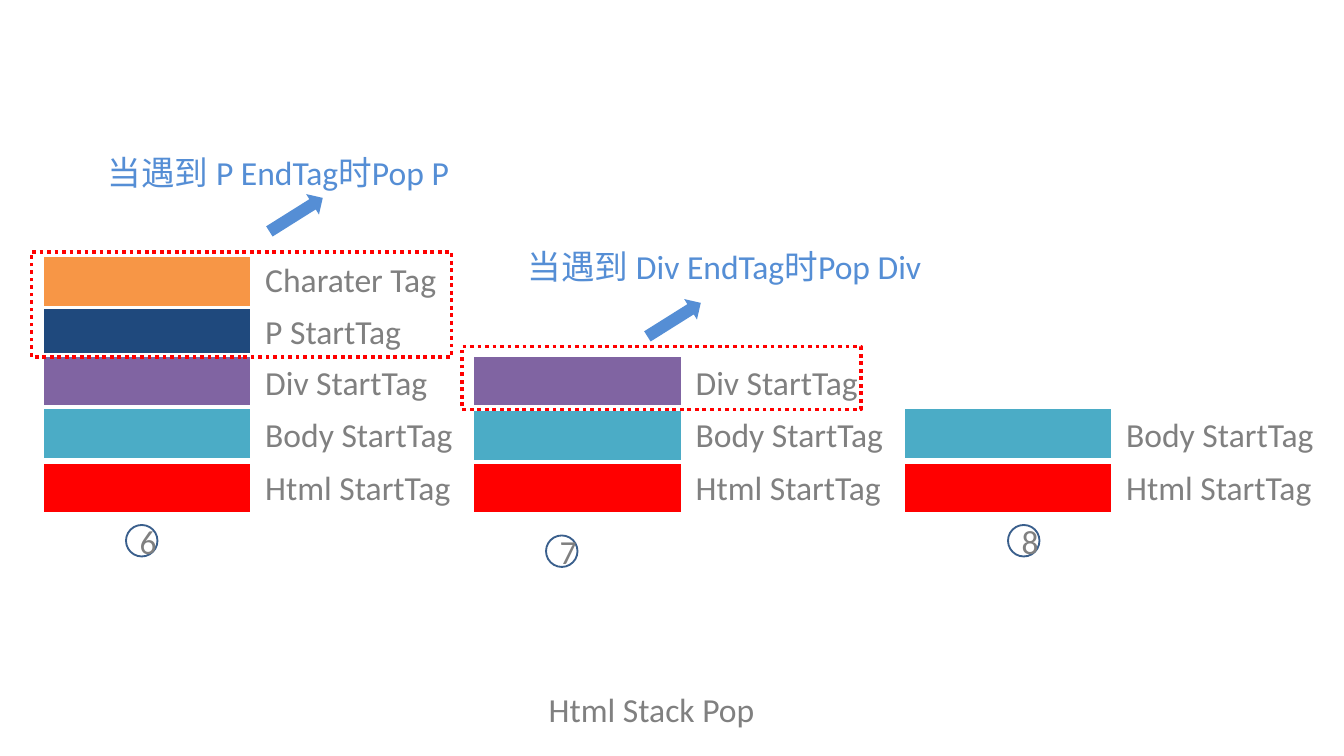
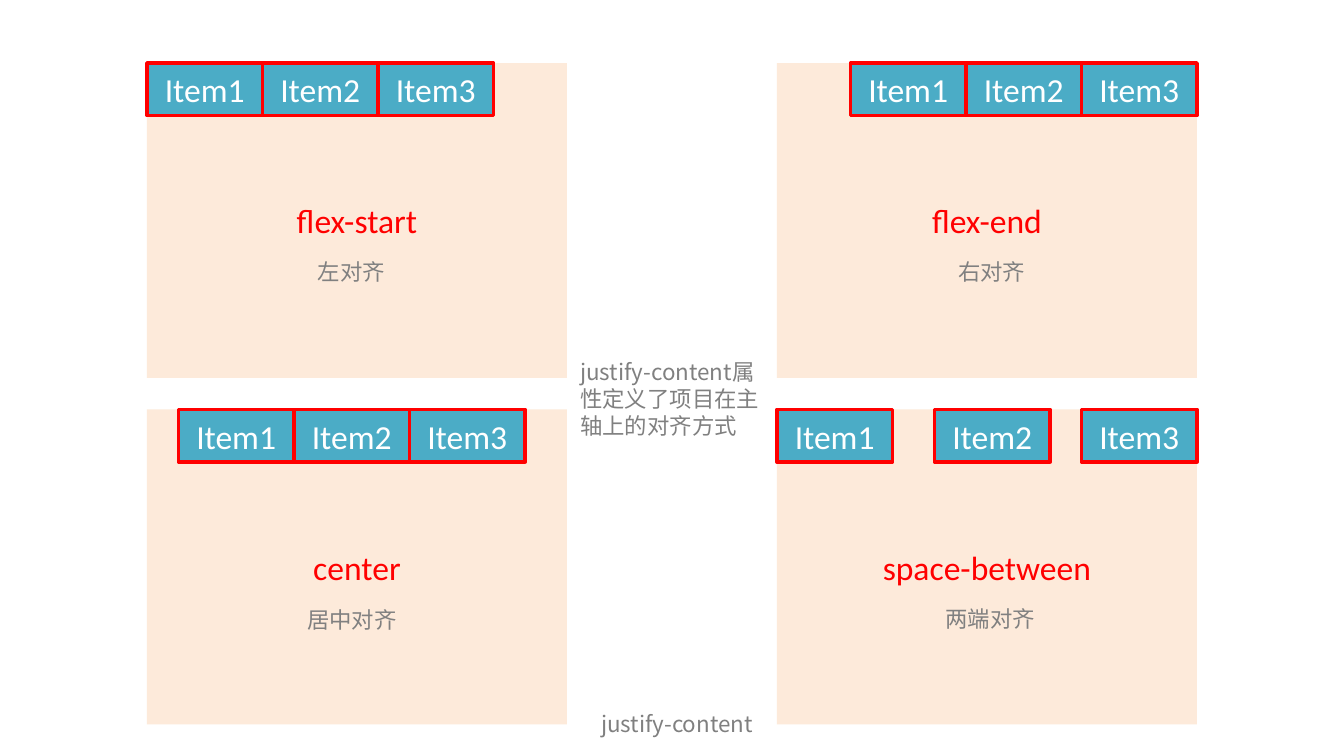
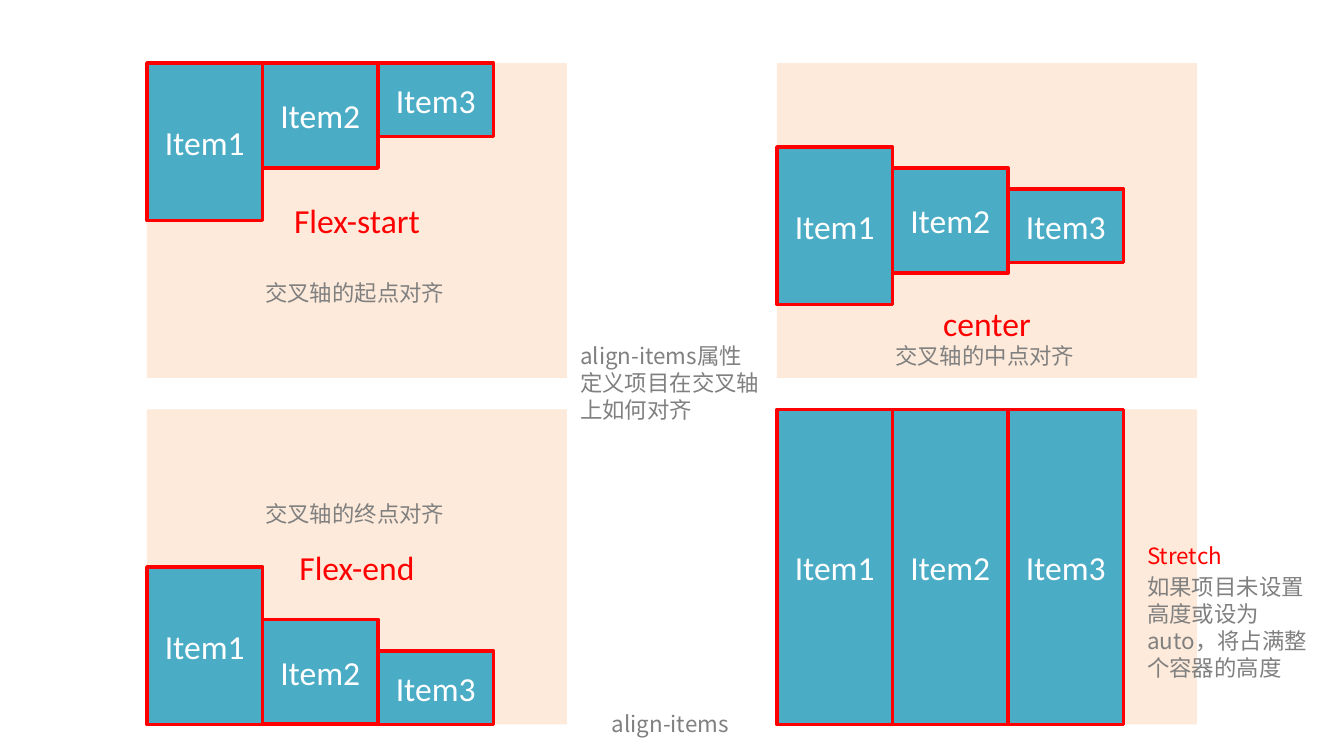
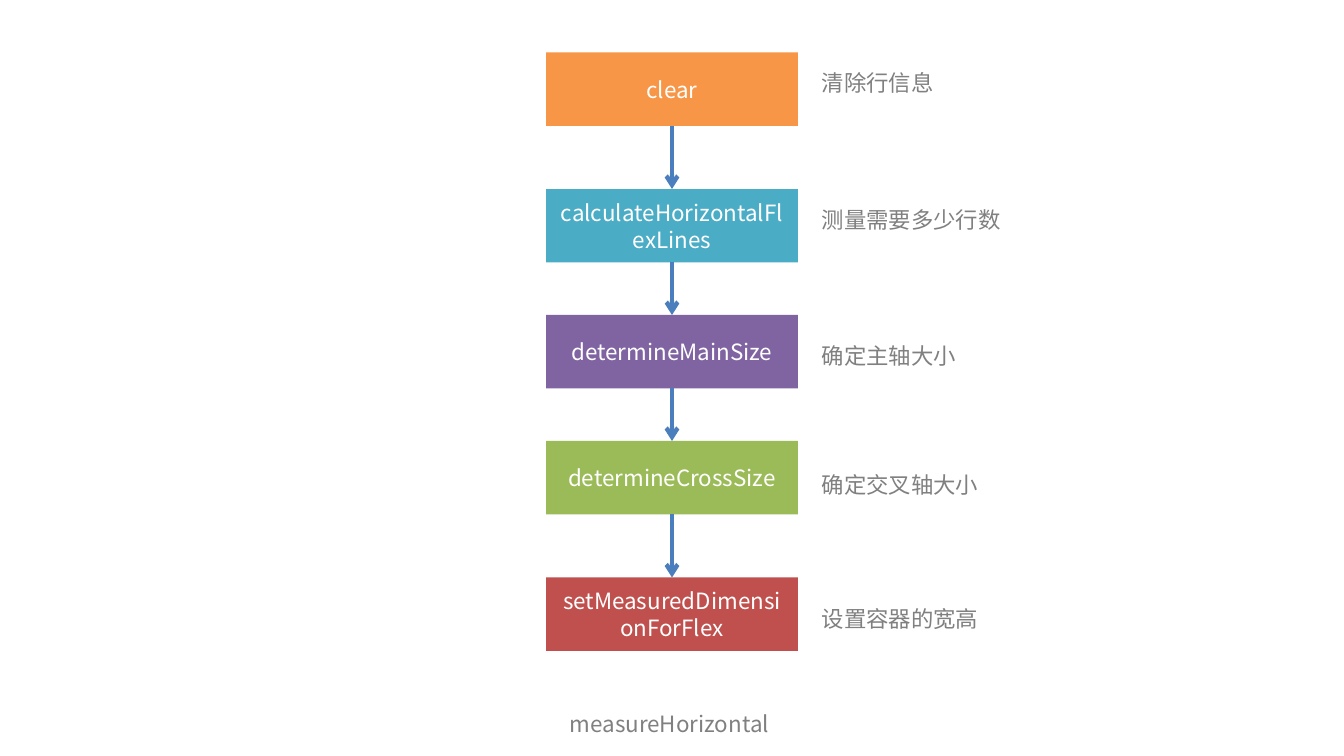
import lxml.etree
import pptx
import pptx.dml.color
import pptx.enum.dml
import pptx.enum.shapes
import pptx.enum.text
import pptx.oxml.ns
import pptx.util

SLIDE_WIDTH, SLIDE_HEIGHT = 1280, 720
EMU_PER_PX = 9144000 / SLIDE_WIDTH
LATIN, CJK = "Calibri", "Noto Sans CJK SC"
COLORS = {
    "white": "FFFFFF", "gray": "808080", "red": "FF0000", "teal": "4BACC6",
    "purple": "8064A2", "navy": "1F497D", "orange": "F79646",
    "green": "9BBB59", "brick": "C0504D", "peach": "FDEADA",
    "sky": "558ED5", "ring": "3A5F8C", "flow": "4B7EBC",
}
SHAPES = pptx.enum.shapes.MSO_SHAPE
ITEM_WIDTH = 110
PANEL_WIDTH, PANEL_HEIGHT = 400, 300
PANEL_LEFTS, PANEL_TOPS = (140, 740), (60, 390)
STEP_WIDTH, STEP_HEIGHT = 240, 70
CAPTION_TOP = 670


def px(length):
    return pptx.util.Emu(round(length * EMU_PER_PX))


def rgb(name):
    return pptx.dml.color.RGBColor.from_string(COLORS[name])


def write(frame, text, size, color, font):
    frame.word_wrap = True
    paragraph = frame.paragraphs[0]
    paragraph.text = text
    paragraph.font.size = pptx.util.Pt(size)
    paragraph.font.name = font
    paragraph.font.color.rgb = rgb(color)
    properties = paragraph._p.pPr.find(pptx.oxml.ns.qn("a:defRPr"))
    east_asian = lxml.etree.SubElement(properties, pptx.oxml.ns.qn("a:ea"))
    east_asian.set("typeface", CJK)
    return paragraph


def add_text(slide, text, left, top, width, height=38, size=12, color="gray",
             font=CJK, wrap=True):
    box = slide.shapes.add_textbox(px(left), px(top), px(width), px(height))
    write(box.text_frame, text, size, color, font)
    box.text_frame.word_wrap = wrap
    box.text_frame.auto_size = pptx.enum.text.MSO_AUTO_SIZE.SHAPE_TO_FIT_TEXT


def add_large_text(slide, text, left, top, width, color="gray"):
    add_text(slide, text, left, top, width, 52, 18, color, LATIN)


def add_box(slide, left, top, width, height, fill=None, line=None, weight=2,
            text="", size=18, color="white", font=LATIN, kind=SHAPES.RECTANGLE):
    shape = slide.shapes.add_shape(kind, px(left), px(top), px(width), px(height))
    shape.shadow.inherit = False
    if fill:
        shape.fill.solid()
        shape.fill.fore_color.rgb = rgb(fill)
    else:
        shape.fill.background()
    if line:
        shape.line.color.rgb = rgb(line)
        shape.line.width = pptx.util.Pt(weight)
    else:
        shape.line.fill.background()
    if text:
        paragraph = write(shape.text_frame, text, size, color, font)
        paragraph.alignment = pptx.enum.text.PP_ALIGN.CENTER
        shape.text_frame.vertical_anchor = pptx.enum.text.MSO_ANCHOR.MIDDLE
    return shape


def add_stack(slide, left, layers, number, number_left, number_top):
    for text, fill, top, label_top, label_width in layers:
        add_box(slide, left, top, 200, 50, fill, "white")
        add_large_text(slide, text, left + 200, label_top, label_width)
    add_box(slide, left + number_left, number_top, 30, 30, line="ring", weight=1,
            text=number, color="gray", kind=SHAPES.OVAL)


def add_pop(slide, left, top, width, height, arrow_left, arrow_rise,
            text, text_left, text_rise, text_width):
    frame = add_box(slide, left, top, width, height, line="red")
    frame.line.dash_style = pptx.enum.dml.MSO_LINE.ROUND_DOT
    arrow = add_box(slide, left + arrow_left, top - arrow_rise, 60, 23, "sky",
                    kind=SHAPES.RIGHT_ARROW)
    arrow.rotation = 327.9
    add_large_text(slide, text, left + text_left, top - text_rise, text_width, "sky")


def build_stack_slide(slide):
    html = ("Html StartTag", "red", 440, 438, 220)
    body = ("Body StartTag", "teal", 388, 388, 220)
    raised_body = ("Body StartTag", "teal", 390, 388, 220)
    div = ("Div StartTag", "purple", 338, 338, 220)
    start = ("P StartTag", "navy", 288, 290, 220)
    character = ("Charater Tag", "orange", 243, 240, 190)
    add_stack(slide, 860, [html, body], "8", 100, 500)
    add_stack(slide, 450, [html, raised_body, div], "7", 70, 510)
    add_stack(slide, 40, [html, body, div, start, character], "6", 80, 500)
    add_large_text(slide, "Html Stack Pop", 510, 650, 250)
    add_pop(slide, 30, 240, 400, 100, 222, 47,
            "当遇到 P EndTag时Pop P", 60, 102, 390)
    add_pop(slide, 440, 330, 380, 60, 172, 37,
            "当遇到 Div EndTag时Pop Div", 50, 102, 410)


def add_panel(slide, column, row, title, items, label=None, title_shift=0):
    left, top = PANEL_LEFTS[column], PANEL_TOPS[row]
    panel = add_box(slide, left, top, PANEL_WIDTH, PANEL_HEIGHT, "peach",
                    text=title, color="red")
    if title_shift:
        panel.text_frame.margin_top = px(6 + 2 * title_shift)
    for number, (item_left, item_top, height) in enumerate(items, 1):
        add_box(slide, left + item_left, top + item_top, ITEM_WIDTH, height,
                "teal", "red", text=f"Item{number}")
    if label:
        text, label_left, label_top, width = label
        add_text(slide, text, left + label_left, top + label_top, width, wrap=False)


def row_items(start):
    return [(start + index * ITEM_WIDTH, 0, 50) for index in range(3)]


def column_items(tops, heights):
    return [(index * ITEM_WIDTH, top, height)
            for index, (top, height) in enumerate(zip(tops, heights))]


def build_justify_slide(slide):
    add_panel(slide, 0, 0, "flex-start", row_items(0), ("左对齐", 150, 180, 90))
    add_panel(slide, 1, 0, "flex-end", row_items(PANEL_WIDTH - 3 * ITEM_WIDTH),
              ("右对齐", 160, 180, 90))
    add_panel(slide, 0, 1, "center", row_items(30), ("居中对齐", 140, 181, 112))
    add_panel(slide, 1, 1, "space-between",
              [(left, 0, 50) for left in (0, 150, 290)],
              ("两端对齐", 148, 180, 112))
    add_text(slide, "justify-content属性定义了项目在主轴上的对齐方式", 540, 335, 200, 91)
    add_text(slide, "justify-content", 560, CAPTION_TOP, 180)


def build_align_slide(slide):
    heights = (150, 100, 70)
    bottoms = [PANEL_HEIGHT - height for height in heights]
    add_panel(slide, 0, 0, "Flex-start", column_items((0, 0, 0), heights),
              ("交叉轴的起点对齐", 100, 200, 198))
    add_panel(slide, 1, 0, "center", column_items((80, 100, 120), heights),
              ("交叉轴的中点对齐", 100, 260, 198), title_shift=98)
    add_panel(slide, 0, 1, "Flex-end", column_items(bottoms, heights),
              ("交叉轴的终点对齐", 100, 80, 198))
    add_panel(slide, 1, 1, "", column_items((0, 0, 0), [PANEL_HEIGHT] * 3))
    add_text(slide, "Stretch", 1080, 510, 100, color="red")
    add_text(slide, "如果项目未设置高度或设为auto，将占满整个容器的高度", 1080, 540, 180, 116)
    add_text(slide, "align-items属性定义项目在交叉轴上如何对齐", 540, 320, 200, 91)
    add_text(slide, "align-items", 570, CAPTION_TOP, 150)


def add_arrow(slide, upper, lower):
    connector = slide.shapes.add_connector(
        pptx.enum.shapes.MSO_CONNECTOR.STRAIGHT, 0, 0, 0, 0)
    connector.begin_connect(upper, 2)
    connector.end_connect(lower, 0)
    connector.line.color.rgb = rgb("flow")
    connector.line.width = pptx.util.Pt(2.25)
    line = connector.line._get_or_add_ln()
    tail = lxml.etree.SubElement(line, pptx.oxml.ns.qn("a:tailEnd"))
    tail.set("type", "arrow")
    lxml.etree.SubElement(connector._element.spPr, pptx.oxml.ns.qn("a:effectLst"))


def add_flow(slide, left, steps):
    boxes = []
    for name, fill, top, note, note_top, note_width in steps:
        boxes.append(add_box(slide, left, top, STEP_WIDTH, STEP_HEIGHT, fill,
                             text=name, size=12, font=CJK))
        add_text(slide, note, left + STEP_WIDTH + 10, note_top, note_width)
    for upper, lower in zip(boxes, boxes[1:]):
        add_arrow(slide, upper, lower)


def build_measure_slide(slide):
    add_flow(slide, 520, [
        ("clear", "orange", 50, "清除行信息", 60, 140),
        ("calculateHorizontalFlexLines", "teal", 180, "测量需要多少行数", 190, 210),
        ("determineMainSize", "purple", 300, "确定主轴大小", 320, 160),
        ("determineCrossSize", "green", 420, "确定交叉轴大小", 442, 190),
        ("setMeasuredDimensionForFlex", "brick", 550, "设置容器的宽高", 570, 190),
    ])
    add_text(slide, "measureHorizontal", 530, CAPTION_TOP, 220)


def main():
    presentation = pptx.Presentation()
    presentation.slide_width = px(SLIDE_WIDTH)
    presentation.slide_height = px(SLIDE_HEIGHT)
    for build in (build_stack_slide, build_justify_slide, build_align_slide,
                  build_measure_slide):
        build(presentation.slides.add_slide(presentation.slide_layouts[6]))
    presentation.save("out.pptx")


if __name__ == "__main__":
    main()
